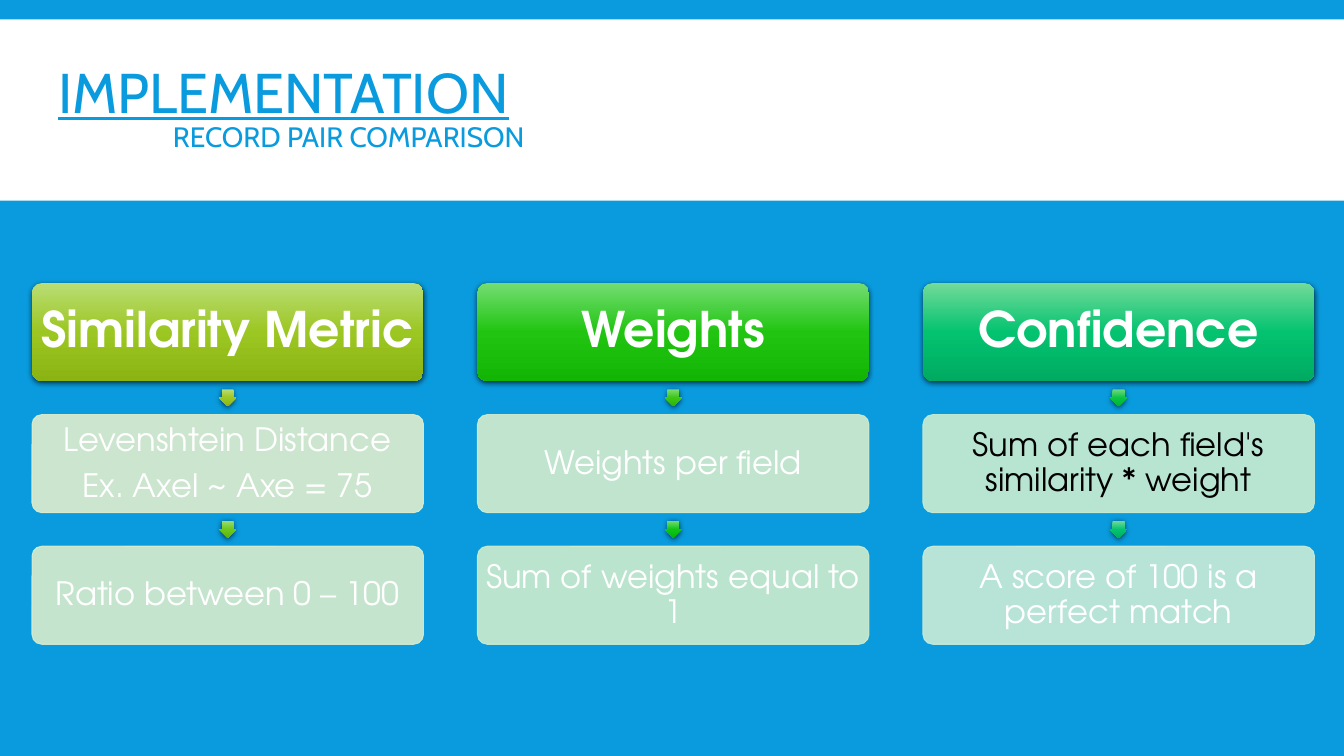
from lxml.etree import SubElement
from pptx import Presentation
from pptx.dml.color import RGBColor
from pptx.enum.shapes import MSO_SHAPE as Preset
from pptx.enum.text import MSO_ANCHOR as Anchor, PP_ALIGN as Align
from pptx.oxml.ns import qn
from pptx.util import Pt

# Gradients list their top, middle and bottom colours
COLOURS = {
    "blue": "099BDD", "white": "FFFFFF", "black": "000000",
    "olive": "BADD75 9CC621 8BB413",
    "lime": "98DD74 6DC61B 5DB50C",
    "green": "75DC73 21C511 13B504",
    "leaf": "7DDD73 3BC614 2CB506",
    "grass": "72DC73 0EC516 01B409",
    "emerald": "72DB80 08C442 00B036",
    "jade": "72DA9A 03C370 00AA61",
    "pale olive": "E1EECD", "pale lime": "DAEDCD",
    "pale green": "D4EDCD", "pale grass": "CEEDCC",
    "pale emerald": "CCEDD1", "pale jade": "CCECD7",
}

# Each column: heading, its gradient, then (arrow, box fill, text colour, lines)
COLUMNS = [
    ("Similarity Metric", "olive", [
        ("olive", "pale olive", "white",
         ["Levenshtein Distance", "Ex. Axel ~ Axe = 75"]),
        ("lime", "pale lime", "white", ["Ratio between 0 – 100"])]),
    ("Weights", "green", [
        ("leaf", "pale green", "white", ["Weights per field"]),
        ("grass", "pale grass", "white", ["Sum of weights equal to 1"])]),
    ("Confidence", "jade", [
        ("emerald", "pale emerald", "black",
         ["Sum of each field's similarity * weight"]),
        ("jade", "pale jade", "white", ["A score of 100 is a perfect match"])]),
]

LEFT, TOP = 22.9, 202.2
BOX_W, BOX_H = 279.6, 70
COLUMN_STEP, ROW_STEP = 318.2, 94
ARROW = 12.2


class ComparisonSlide:
    title_font = "Cabin"
    body_font = "TeX Gyre Adventor"

    def __init__(self, deck):
        self.slide = deck.slides.add_slide(deck.slide_layouts[6])
        background = self.slide.background.fill
        background.solid()
        background.fore_color.rgb = self.colour("blue")

    def colour(self, name):
        return RGBColor.from_string(COLOURS[name])

    def preset(self, kind, left, top, width, height):
        shape = self.slide.shapes.add_shape(
            kind, Pt(left), Pt(top), Pt(width), Pt(height))
        shape.shadow.inherit = False
        shape.line.fill.background()
        return shape

    def band(self, top, height):
        band = self.preset(Preset.RECTANGLE, 0, top, 960, height)
        band.fill.solid()
        band.fill.fore_color.rgb = self.colour("white")

    def title(self, heading, subheading):
        frame = self.slide.shapes.add_textbox(
            Pt(34.6), Pt(19.4), Pt(770.4), Pt(118.8)).text_frame
        frame.word_wrap = True
        frame.vertical_anchor = Anchor.MIDDLE
        frame.text = f"{heading}\n{subheading}"
        for line, size in zip(frame.paragraphs, (40, 20)):
            line.line_spacing = 0.85
            self.style(line, self.title_font, size, "blue")
        main, sub = frame.paragraphs
        main.font.underline = True
        sub._p.get_or_add_pPr().set("marL", str(Pt(81.8)))

    def style(self, paragraph, font, size, colour):
        paragraph.font.name = font
        paragraph.font.size = Pt(size)
        paragraph.font.color.rgb = self.colour(colour)

    def glossy(self, shape, gradient):
        shape.fill.gradient()
        shape.fill.gradient_angle = 270
        stops = shape.element.spPr.find(".//" + qn("a:gsLst"))
        stops.clear()
        for position, tone in zip((0, 50000, 100000), COLOURS[gradient].split()):
            stop = SubElement(stops, qn("a:gs"), pos=str(position))
            SubElement(stop, qn("a:srgbClr"), val=tone)
        effects = shape.element.spPr.find(qn("a:effectLst"))
        shadow = SubElement(effects, qn("a:outerShdw"), blurRad=str(Pt(4)),
                            dist=str(Pt(1.2)), dir="5400000", rotWithShape="0")
        tone = SubElement(shadow, qn("a:srgbClr"), val=COLOURS["black"])
        SubElement(tone, qn("a:alpha"), val="68000")

    def box(self, left, top, lines, size, colour, inset):
        box = self.preset(Preset.ROUNDED_RECTANGLE, left, top, BOX_W, BOX_H)
        box.adjustments[0] = 0.1
        frame = box.text_frame
        frame.word_wrap = True
        frame.vertical_anchor = Anchor.MIDDLE
        frame.margin_left = frame.margin_right = Pt(inset)
        frame.margin_top = frame.margin_bottom = Pt(inset)
        frame.text = "\n".join(lines)
        for line in frame.paragraphs:
            line.alignment = Align.CENTER
            line.line_spacing = 0.9
            line.space_after = Pt(round(0.35 * size))
            self.style(line, self.body_font, size, colour)
        return box

    def heading(self, left, top, text, gradient):
        heading = self.box(left, top, [text], 35, "white", 3.6)
        heading.text_frame.paragraphs[0].font.bold = True
        self.glossy(heading, gradient)

    def detail(self, left, top, lines, fill, colour):
        detail = self.box(left, top, lines, 23, colour, 2.2)
        detail.line.width = Pt(0.75)
        for paint in (detail.fill, detail.line.fill):
            paint.solid()
            paint.fore_color.rgb = self.colour(fill)
        for tone in detail.element.spPr.iter(qn("a:srgbClr")):
            SubElement(tone, qn("a:alpha"), val="90000")

    def arrow(self, left, top, gradient):
        arrow = self.preset(Preset.DOWN_ARROW, left, top, ARROW, ARROW)
        arrow.adjustments[0] = 0.667
        self.glossy(arrow, gradient)


def main():
    deck = Presentation()
    deck.slide_width, deck.slide_height = Pt(960), Pt(540)
    page = ComparisonSlide(deck)

    # Title band
    page.band(13.8, 129.6)
    page.title("IMPLEMENTATION", "RECORD PAIR COMPARISON")

    # Three columns, each a heading followed by arrows and details
    for column, (heading, gradient, details) in enumerate(COLUMNS):
        left = LEFT + column * COLUMN_STEP
        page.heading(left, TOP, heading, gradient)
        for row, (arrow, fill, colour, lines) in enumerate(details, start=1):
            top = TOP + row * ROW_STEP
            gap = ROW_STEP - BOX_H
            page.arrow(left + (BOX_W - ARROW) / 2, top - (gap + ARROW) / 2, arrow)
            page.detail(left, top, lines, fill, colour)

    deck.save("out.pptx")


if __name__ == "__main__":
    main()
